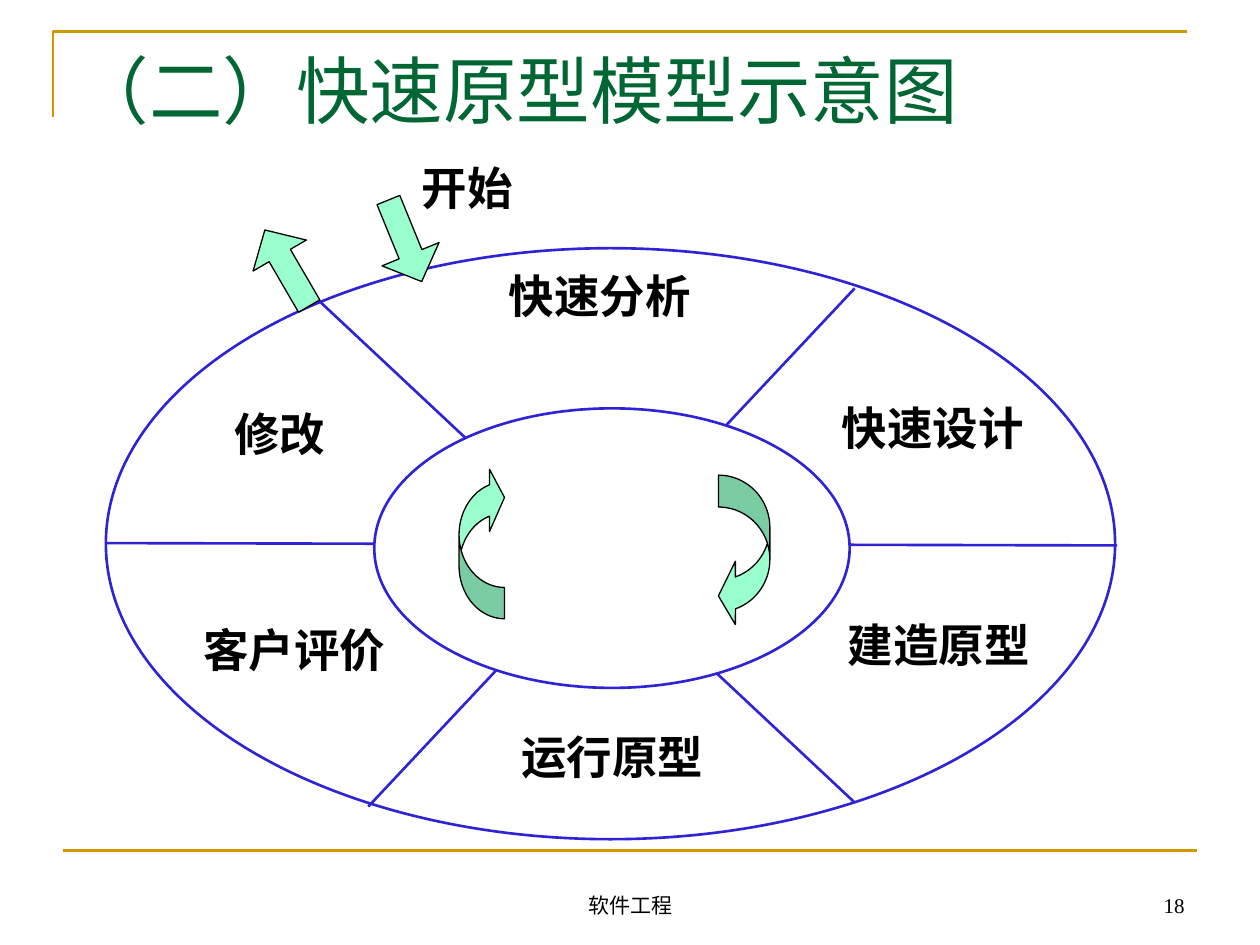
from lxml import etree
from pptx import Presentation
from pptx.dml.color import RGBColor
from pptx.enum.shapes import MSO_CONNECTOR, MSO_SHAPE
from pptx.enum.text import MSO_ANCHOR, PP_ALIGN
from pptx.oxml.ns import qn
from pptx.util import Inches, Pt

LINE = MSO_CONNECTOR.STRAIGHT
OVAL, DOWN, CURVE = MSO_SHAPE.OVAL, MSO_SHAPE.DOWN_ARROW, MSO_SHAPE.CURVED_LEFT_ARROW
LEFT, CENTER, RIGHT, JUSTIFY = PP_ALIGN.LEFT, PP_ALIGN.CENTER, PP_ALIGN.RIGHT, PP_ALIGN.JUSTIFY
TOP, BOTTOM = MSO_ANCHOR.TOP, MSO_ANCHOR.BOTTOM

COLORS = {"gold": "CC9900", "green": "006633", "blue": "3023D5",
          "mint": "99FFCC", "white": "FFFFFF", "black": "000000"}
SERIF, SANS = "Times New Roman", "Arial"
WIDE, HIGH = 10, 7.5

# All places below are percentages of the box they belong to.
SPOKES = [((74.2, 6.8), (26, 94.5)), ((0, 49.9), (100.2, 50.3)), ((21, 8.7), (74.2, 93.8))]
INNER = (26.6, 27.1, 47.1, 47.3)
STEPS = [
    ("快速分析", (31.3, 2.3, 35.3, 21.1), SERIF),
    ("快速设计", (66.8, 24.7, 30.3, 14.1), SERIF),
    ("建造原型", (67.4, 61.4, 30.3, 14.1), SERIF),
    ("运行原型", (30, 80.4, 40.4, 14.1), SERIF),
    ("客户评价", (3.5, 62.3, 30.4, 14.1), SANS),
    ("修改", (2.1, 25.6, 30.3, 14.1), SERIF),
]
ARROWS = [
    (DOWN, (14.9, -4.1, 6.1, 14.9), 149.8, (0.6, 0.48)),
    (DOWN, (26.6, -8.7, 6.1, 14.9), 337.8, (0.6, 0.48)),
    (CURVE, (60.7, 38.4, 5.1, 25.8), 0, (0.62, 1.23, 0.33)),
    (CURVE, (35, 36.9, 4.5, 25.8), 180, (0.69, 1.37, 0.33)),
]


def color(name):
    return RGBColor.from_string(COLORS[name])


def point(box, x, y):
    left, top, width, height = box
    return Inches(left + width * x / 100), Inches(top + height * y / 100)


def area(box, x, y, w, h):
    return *point(box, x, y), Inches(box[2] * w / 100), Inches(box[3] * h / 100)


def write(shape, text, size=26, font=SERIF, tint="black", bold=False,
          align=CENTER, anchor=TOP, side=0.1):
    frame = shape.text_frame
    frame.word_wrap = True
    frame.vertical_anchor = anchor
    frame.margin_left = frame.margin_right = Inches(side)
    frame.margin_top = frame.margin_bottom = Inches(0.05)
    para = frame.paragraphs[0]
    para.alignment = align
    run = para.add_run()
    run.text = text
    run.font.size, run.font.name, run.font.bold = Pt(size), font, bold
    run.font.color.rgb = color(tint)


def rule(slide, start, end, tint):
    line = slide.shapes.add_connector(LINE, *start, *end)
    line.line.color.rgb = color(tint)
    line.line.width = Pt(1.5)
    etree.SubElement(line._element.spPr, qn("a:effectLst"))


def solid(slide, kind, place, fill, edge, width):
    shape = slide.shapes.add_shape(kind, *place)
    shape.shadow.inherit = False
    shape.fill.solid()
    shape.fill.fore_color.rgb = color(fill)
    shape.line.color.rgb = color(edge)
    shape.line.width = Pt(width)
    return shape


def header(slide, box):
    """Gold corner rule and the title under it."""
    corner, low, end = point(box, 4.2, 16), point(box, 4.2, 60), point(box, 94.2, 16)
    pen = slide.shapes.build_freeform(*low)
    pen.add_line_segments([corner, end], close=False)
    frame = pen.convert_to_shape()
    frame.shadow.inherit = False
    frame.fill.background()
    frame.line.color.rgb = color("gold")
    frame.line.width = Pt(1.5)
    title = slide.shapes.title
    title.left, title.top, title.width, title.height = area(box, 5, 20, 90, 80)
    write(title, "（二）快速原型模型示意图", size=42, tint="green", align=LEFT)


def wheel(slide, box):
    """Ring of six steps around the turning arrows."""
    solid(slide, OVAL, area(box, 0, 0, 100, 100), "white", "blue", 1.5)
    for start, end in SPOKES:
        rule(slide, point(box, *start), point(box, *end), "blue")
    solid(slide, OVAL, area(box, *INNER), "white", "blue", 1.5)
    for kind, place, turn, bends in ARROWS:
        arrow = solid(slide, kind, area(box, *place), "mint", "black", 0.75)
        arrow.rotation = turn
        for i, bend in enumerate(bends):
            arrow.adjustments[i] = bend
        if kind == DOWN:
            arrow.adjustments[0] = 0.4
    for text, place, font in STEPS:
        label = slide.shapes.add_textbox(*area(box, *place))
        write(label, text, font=font, bold=True, side=0.09)
    start = slide.shapes.add_textbox(*area(box, 30.2, -16, 21.3, 14.9))
    write(start, "开始", bold=True, align=JUSTIFY, side=0.09)


def footer(slide, box):
    rule(slide, point(box, 5, 0), point(box, 95, 0), "gold")
    for text, x, w, align in [("软件工程", 34.2, 31.7, CENTER), ("18", 71.7, 23.3, RIGHT)]:
        note = slide.shapes.add_textbox(*area(box, x, 10.7, w, 66.7))
        write(note, text, size=12, align=align, anchor=BOTTOM)


def main():
    deck = Presentation()
    deck.slide_width, deck.slide_height = Inches(WIDE), Inches(HIGH)
    slide = deck.slides.add_slide(deck.slide_layouts[5])
    header(slide, (0, 0, WIDE, 1.55))
    wheel(slide, (0.84, 1.97, 8.01, 4.69))
    footer(slide, (0, 6.75, WIDE, 0.75))
    deck.save("out.pptx")


if __name__ == "__main__":
    main()
